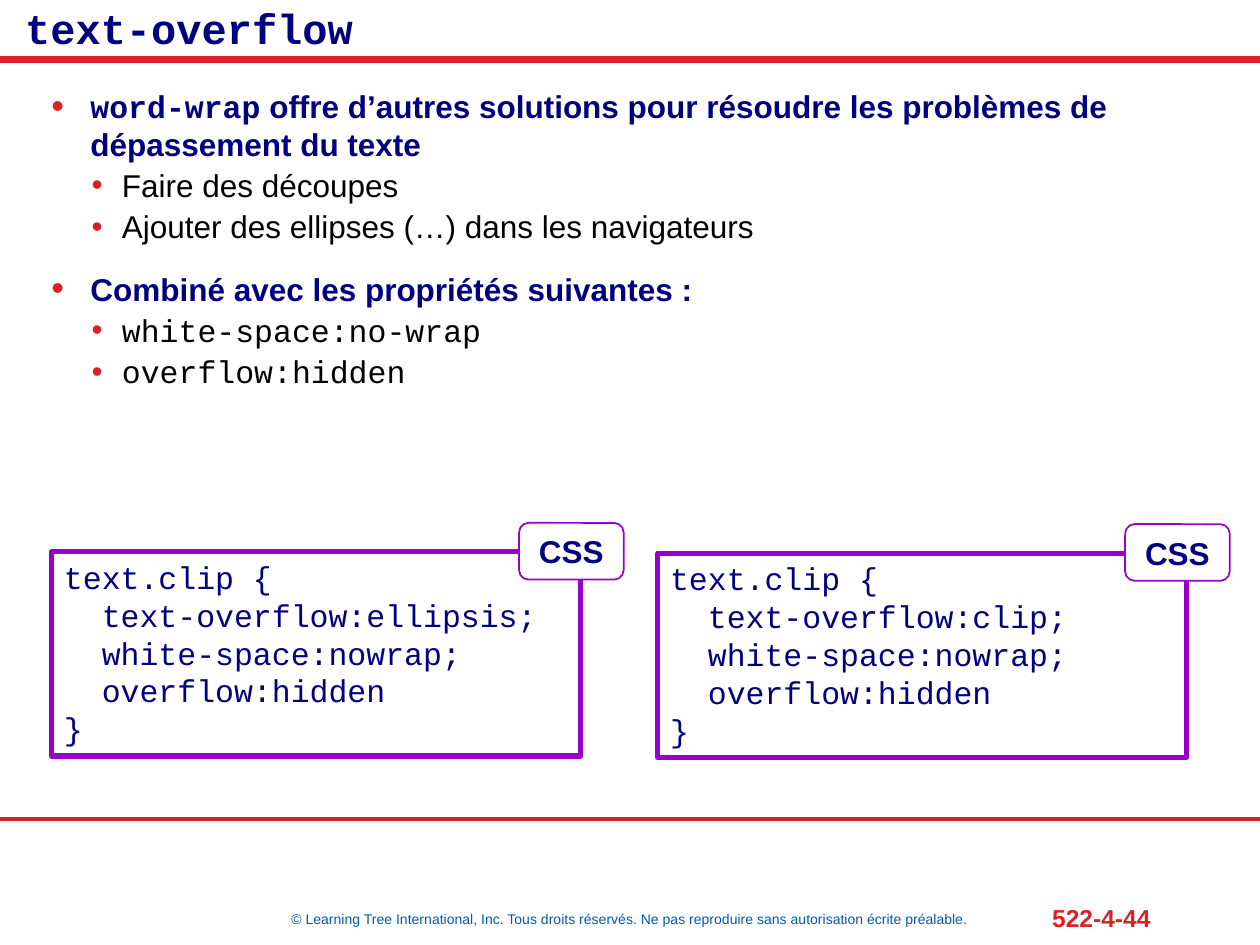
from dataclasses import dataclass

from lxml import etree
from pptx import Presentation
from pptx.dml.color import RGBColor
from pptx.enum.shapes import MSO_CONNECTOR, MSO_SHAPE
from pptx.enum.text import MSO_ANCHOR, PP_ALIGN
from pptx.oxml.ns import qn
from pptx.util import Inches, Pt

RECT, ROUNDED = MSO_SHAPE.RECTANGLE, MSO_SHAPE.ROUNDED_RECTANGLE
STRAIGHT = MSO_CONNECTOR.STRAIGHT
TOP, MIDDLE = MSO_ANCHOR.TOP, MSO_ANCHOR.MIDDLE
LEFT, CENTER, RIGHT = PP_ALIGN.LEFT, PP_ALIGN.CENTER, PP_ALIGN.RIGHT

NAVY = RGBColor(0x00, 0x00, 0x80)
RED = RGBColor(0xDA, 0x21, 0x28)
BLUE = RGBColor(0x00, 0x5A, 0xAB)
PURPLE = RGBColor(0x99, 0x00, 0xCC)
BLACK = RGBColor(0x00, 0x00, 0x00)
WHITE = RGBColor(0xFF, 0xFF, 0xFF)
SANS, MONO = "Arial", "Courier New"


@dataclass(frozen=True)
class Style:
    size: float
    color: RGBColor
    font: str = SANS
    bold: bool = False


@dataclass(frozen=True)
class Level:
    margin: float
    hanging: float
    space_before: float
    bullet_percent: int
    color: RGBColor
    bold: bool


@dataclass(frozen=True)
class Bullet:
    level: Level
    runs: tuple[tuple[str, str], ...]


@dataclass(frozen=True)
class CodeBox:
    left: float
    top: float
    overflow: str


MAIN = Level(0.31, 0.31, 14, 115, NAVY, True)
SUB = Level(0.56, 0.24, 2, 100, BLACK, False)
CODE = Style(18, NAVY, MONO)
TAG = Style(18, NAVY, bold=True)

BULLETS = (
    Bullet(MAIN, (("word-wrap", MONO),
                  (" offre d’autres solutions pour résoudre les problèmes de "
                   "dépassement du texte", SANS))),
    Bullet(SUB, (("Faire des découpes", SANS),)),
    Bullet(SUB, (("Ajouter des ellipses (…) dans les navigateurs", SANS),)),
    Bullet(MAIN, (("Combiné avec les propriétés suivantes :", SANS),)),
    Bullet(SUB, (("white-space:no-wrap", MONO),)),
    Bullet(SUB, (("overflow:hidden", MONO),)),
)
CODE_BOXES = (CodeBox(0.41, 4.38, "ellipsis"), CodeBox(5.22, 4.39, "clip"))


def style_run(r, style: Style) -> None:
    r.font.size = Pt(style.size)
    r.font.name = style.font
    r.font.bold = style.bold
    r.font.color.rgb = style.color


def write(sp, text: str, style: Style, align=LEFT, anchor=TOP) -> None:
    tf = sp.text_frame
    tf.word_wrap = True
    tf.vertical_anchor = anchor
    tf.text = text
    for p in tf.paragraphs:
        p.alignment = align
        for r in p.runs:
            style_run(r, style)


def add_text(s, left: float, top: float, width: float, height: float):
    return s.shapes.add_textbox(Inches(left), Inches(top),
                                Inches(width), Inches(height))


def add_rule(s, y: float, weight: float) -> None:
    line = s.shapes.add_connector(STRAIGHT, 0, Inches(y), Inches(10), Inches(y))
    line.line.color.rgb = RED
    line.line.width = Pt(weight)
    etree.SubElement(line._element.spPr, qn("a:effectLst"))


def add_box(s, kind, left: float, top: float, width: float, height: float,
            weight: float):
    sp = s.shapes.add_shape(kind, Inches(left), Inches(top),
                            Inches(width), Inches(height))
    sp.shadow.inherit = False
    sp.fill.solid()
    sp.fill.fore_color.rgb = WHITE
    sp.line.color.rgb = PURPLE
    sp.line.width = Pt(weight)
    return sp


def add_bullet(p, bullet: Bullet, first: bool) -> None:
    level = bullet.level
    pPr = p._p.get_or_add_pPr()
    pPr.set("marL", str(Inches(level.margin)))
    pPr.set("indent", str(-Inches(level.hanging)))
    if not first:
        p.space_before = Pt(level.space_before)
    color = etree.SubElement(pPr, qn("a:buClr"))
    etree.SubElement(color, qn("a:srgbClr"), val=str(RED))
    etree.SubElement(pPr, qn("a:buSzPct"), val=str(level.bullet_percent * 1000))
    etree.SubElement(pPr, qn("a:buFont"), typeface=SANS)
    etree.SubElement(pPr, qn("a:buChar"), char="•")
    for text, font in bullet.runs:
        r = p.add_run()
        r.text = text
        style_run(r, Style(18, level.color, font, level.bold))


def add_code(s, box: CodeBox) -> None:
    code = (f"text.clip {{\n  text-overflow:{box.overflow};\n"
            "  white-space:nowrap;\n  overflow:hidden\n}")
    sp = add_box(s, RECT, box.left, box.top, 4.2, 1.62, 3)
    write(sp, code, CODE)
    tag = add_box(s, ROUNDED, box.left + 3.71, box.top - 0.23, 0.83, 0.45, 1)
    write(tag, "CSS", TAG, CENTER, MIDDLE)


def main() -> None:
    prs = Presentation()
    prs.slide_width, prs.slide_height = Inches(10), Inches(7.5)
    s = prs.slides.add_slide(prs.slide_layouts[6])

    # Rules and footer
    add_rule(s, 0.47, 4)
    add_rule(s, 6.5, 2)
    number = add_text(s, 7.85, 7.11, 1.38, 0.34)
    number.text_frame.margin_left = 0
    write(number, "522-4-44", Style(14, RED, bold=True), RIGHT, MIDDLE)
    write(add_text(s, 0, 7.18, 10, 0.23),
          "© Learning Tree International, Inc. Tous droits réservés. "
          "Ne pas reproduire sans autorisation écrite préalable.",
          Style(8, BLUE), CENTER)

    # Title
    title = add_text(s, 0, 0, 10, 0.44)
    tf = title.text_frame
    tf.margin_left = Inches(0.2)
    tf.margin_top = tf.margin_bottom = 0
    write(title, "text-overflow", Style(24, NAVY, MONO, True), anchor=MIDDLE)

    # Bullets
    tf = add_text(s, 0.31, 0.64, 9.4, 2.53).text_frame
    tf.word_wrap = True
    for i, bullet in enumerate(BULLETS):
        p = tf.add_paragraph() if i else tf.paragraphs[0]
        add_bullet(p, bullet, first=i == 0)

    # Code samples
    for box in CODE_BOXES:
        add_code(s, box)

    prs.save("out.pptx")


if __name__ == "__main__":
    main()
